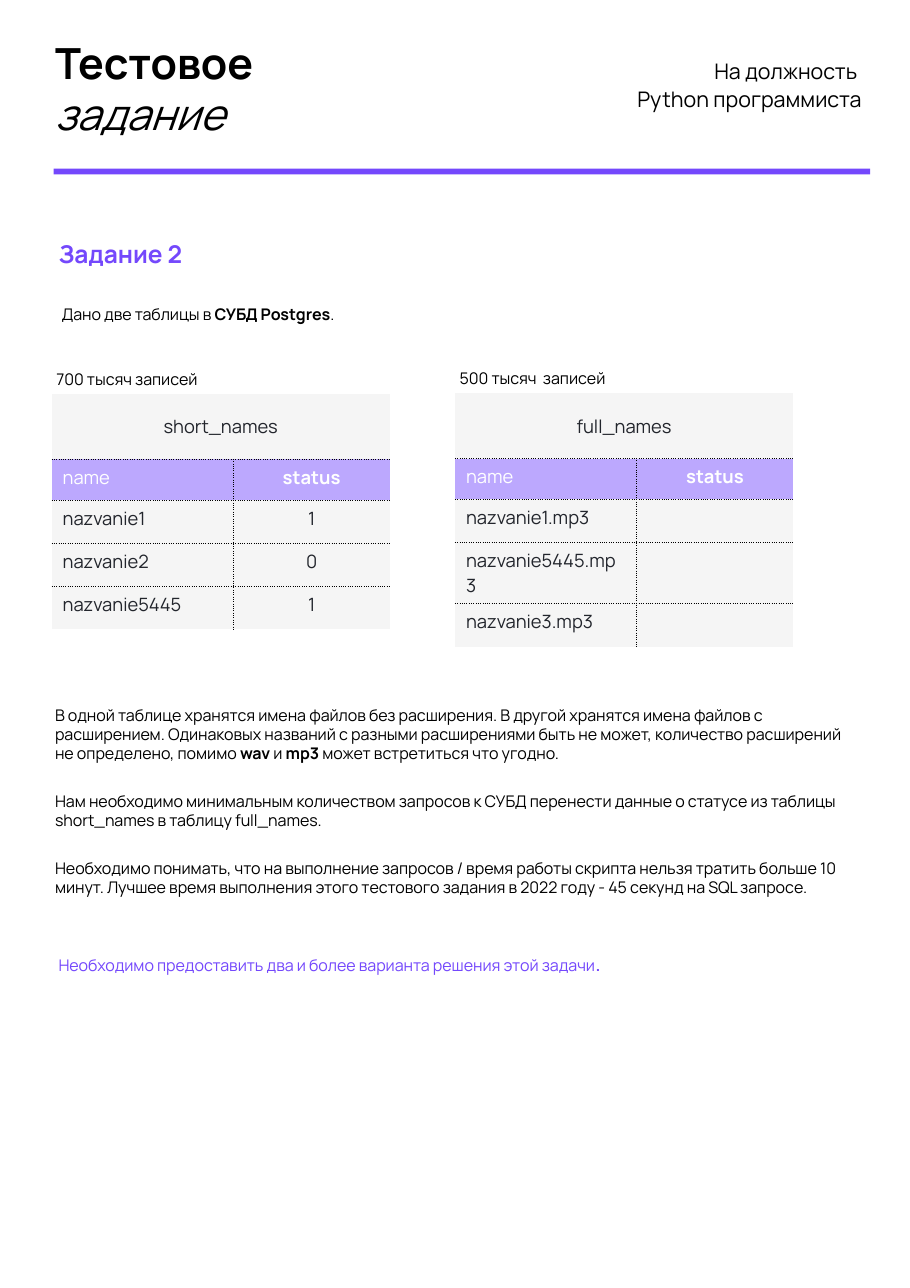
from lxml import etree
from pptx import Presentation
from pptx import util as u
from pptx.dml.color import RGBColor
from pptx.enum import shapes, text
from pptx.oxml import parse_xml
from pptx.oxml.ns import nsdecls, qn

VIOLET, LILAC, GREY = "7448FC", "BCA8FE", "F5F5F5"
BLACK, INK, WHITE = "000000", "22252C", "FFFFFF"
NO_STYLE = "{2D5ABB26-0587-4C30-8999-92F81FD0307C}"
LEFT, CENTER, RIGHT = text.PP_ALIGN.LEFT, text.PP_ALIGN.CENTER, text.PP_ALIGN.RIGHT


def rgb(value):
    return RGBColor.from_string(value)


def write(para, spans, size, color, align=LEFT):
    """Fill a paragraph with (words, format) spans; a line feed breaks the line."""
    para.alignment = align
    for words, extra in spans:
        if words == "\n":
            para.add_line_break()
            continue
        span = para.add_run()
        span.text = words
        look = {"name": "Manrope", "size": u.Pt(size), "bold": False, "italic": False}
        for key, value in {**look, **extra}.items():
            setattr(span.font, key, value)
        span.font.color.rgb = rgb(color)


deck = Presentation()
deck.slide_width, deck.slide_height = u.Cm(20.98), u.Cm(29.69)
page = deck.slides.add_slide(deck.slide_layouts[5])
bold, plain = {"bold": True}, {}

# Text blocks: place, size, colour, alignment, space between paragraphs, paragraphs
blocks = [
    ((1.27, 0.79, 15.62, 2.44), 28, BLACK, LEFT, 0,
     [[("Тестовое", bold), ("\n", plain), ("задание", {"italic": True})]]),
    ((14.1, 1.3, 5.77, 1.27), 14, BLACK, RIGHT, 1.2,
     [[("На должность ", plain)], [("Python программиста", plain)]]),
    ((1.35, 5.46, 3.71, 0.74), 16, VIOLET, LEFT, 0, [[("Задание 2", bold)]]),
    ((1.42, 6.96, 18.49, 0.48), 10.5, BLACK, LEFT, 0,
     [[("Дано две таблицы в ", plain), ("СУБД Postgres", bold), (".", plain)]]),
    ((1.27, 16.21, 18.49, 4.52), 10.5, BLACK, LEFT, 18.6,
     [[("В одной таблице хранятся имена файлов без расширения. В другой хранятся "
        "имена файлов с расширением. Одинаковых названий с разными расширениями "
        "быть не может, количество расширений не определено, помимо ", plain),
       ("wav", bold), (" и ", plain), ("mp3", bold),
       (" может встретиться что угодно.", plain)],
      [("Нам необходимо минимальным количеством запросов к СУБД перенести данные "
        "о статусе из таблицы short_names в таблицу full_names.", plain)],
      [("Необходимо понимать, что на выполнение запросов / время работы скрипта "
        "нельзя тратить больше 10 минут. Лучшее время выполнения этого тестового "
        "задания в 2022 году - 45 секунд на SQL запросе.", plain)]]),
    ((1.35, 21.97, 13.51, 0.48), 10.5, VIOLET, LEFT, 0,
     [[("Необходимо предоставить два и более варианта решения этой задачи", plain),
       (".", bold)]]),
]

# Tables: place, caption, name, (name, status) rows
tables = [
    (1.19, 9.09, "700 тысяч записей", "short_names",
     [("nazvanie1", "1"), ("nazvanie2", "0"), ("nazvanie5445", "1")]),
    (10.49, 9.07, "500 тысяч  записей", "full_names",
     [("nazvanie1.mp3", ""), ("nazvanie5445.mp3", ""), ("nazvanie3.mp3", "")]),
]
for left, top, caption, title, records in tables:
    blocks.append(((left + 0.11, top - 0.63, 6.25, 0.48), 10.5, BLACK, LEFT, 0,
                   [[(caption, plain)]]))

# Write the blocks; the first one is the slide title
for index, (place, size, color, align, gap, paras) in enumerate(blocks):
    place = [u.Cm(length) for length in place]
    if index == 0:
        box = page.shapes.title
        box.left, box.top, box.width, box.height = place
    else:
        box = page.shapes.add_textbox(*place)
    frame = box.text_frame
    layout = {"word_wrap": True, "auto_size": text.MSO_AUTO_SIZE.NONE,
              "vertical_anchor": text.MSO_ANCHOR.TOP, "margin_left": 0,
              "margin_right": 0, "margin_top": u.Cm(0.05), "margin_bottom": 0}
    for key, value in layout.items():
        setattr(frame, key, value)
    for number, spans in enumerate(paras):
        para = frame.add_paragraph() if number else frame.paragraphs[0]
        para.space_before = u.Pt(gap if number else 0)
        write(para, spans, size, color, align)

# Header rule
rule = page.shapes.add_shape(shapes.MSO_SHAPE.RECTANGLE,
                             u.Cm(1.24), u.Cm(3.89), u.Cm(18.82), u.Cm(0.13))
rule.shadow.inherit = False
rule.fill.solid()
rule.fill.fore_color.rgb = rgb(VIOLET)
rule.line.fill.background()

# Draw the tables
widths, heights = [4.19, 3.61], [1.5, 0.94, 0.99, 0.99, 0.99]
for left, top, caption, title, records in tables:
    rows = [(title, ""), ("name", "status")] + records
    grid = page.shapes.add_table(len(rows), 2, u.Cm(left), u.Cm(top),
                                 u.Cm(sum(widths)), u.Cm(sum(heights))).table
    grid.first_row = grid.horz_banding = False
    grid._tbl.tblPr[0].text = NO_STYLE
    for column, width in zip(grid.columns, widths):
        column.width = u.Cm(width)
    for line, height in zip(grid.rows, heights):
        line.height = u.Cm(height)
    grid.cell(0, 0).merge(grid.cell(0, 1))
    grid.cell(0, 0).vertical_anchor = text.MSO_ANCHOR.MIDDLE

    for r, row in enumerate(rows):
        for c, words in enumerate(row):
            cell = grid.cell(r, c)
            # Dotted lines between rows, and between columns below the name
            sides = {"lnL": r and c, "lnR": r and not c,
                     "lnT": r, "lnB": r < len(rows) - 1}
            for side, shown in sides.items():
                if shown:
                    cell._tc.get_or_add_tcPr().append(parse_xml(
                        f'<a:{side} {nsdecls("a")} w="9525"><a:solidFill>'
                        f'<a:srgbClr val="{BLACK}"/></a:solidFill>'
                        f'<a:prstDash val="sysDot"/></a:{side}>'))
            cell.fill.solid()
            cell.fill.fore_color.rgb = rgb(LILAC if r == 1 else GREY)
            para = cell.text_frame.paragraphs[0]
            if words:
                write(para, [(words, bold if words == "status" else plain)], 12,
                      WHITE if r == 1 else INK, CENTER if c or not r else LEFT)
            else:
                etree.SubElement(para._p, qn("a:endParaRPr"), sz="1200")

deck.save("out.pptx")
